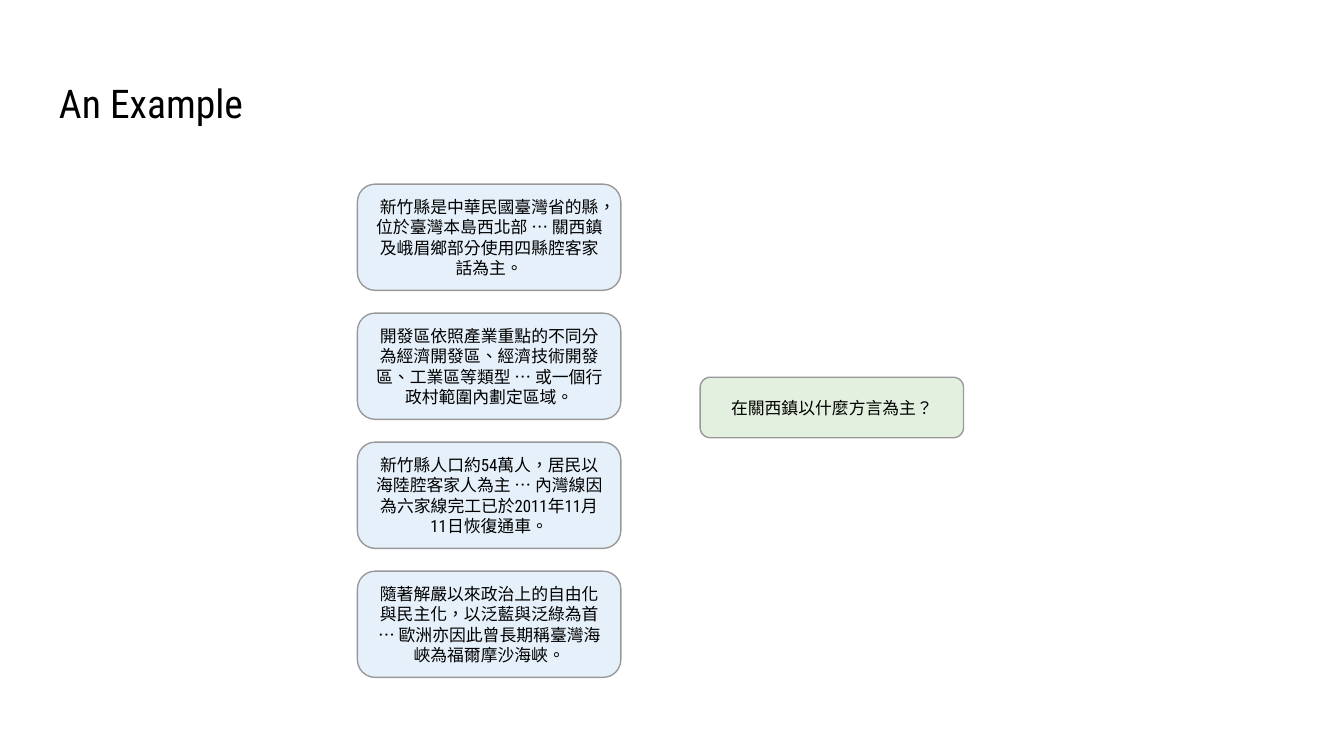
from dataclasses import dataclass

from pptx import Presentation
from pptx.dml.color import RGBColor
from pptx.enum.lang import MSO_LANGUAGE_ID
from pptx.enum.shapes import MSO_SHAPE
from pptx.enum.text import MSO_ANCHOR, PP_ALIGN
from pptx.util import Inches, Pt

ROUNDED = MSO_SHAPE.ROUNDED_RECTANGLE
TOP, MIDDLE = MSO_ANCHOR.TOP, MSO_ANCHOR.MIDDLE
LEFT, CENTER = PP_ALIGN.LEFT, PP_ALIGN.CENTER
ENGLISH = MSO_LANGUAGE_ID.ENGLISH_US
CHINESE = MSO_LANGUAGE_ID.TRADITIONAL_CHINESE

BLACK = RGBColor(0x00, 0x00, 0x00)
GRAY = RGBColor(0x99, 0x99, 0x99)
PALE_BLUE = RGBColor(0xE6, 0xF0, 0xFA)
PALE_GREEN = RGBColor(0xE4, 0xF0, 0xDF)
FONT = "Roboto Condensed"

# Grid, in inches: passages fill the first column, the question the second
PAGE_WIDTH = Inches(10)
PAGE_HEIGHT = PAGE_WIDTH * 9 // 16
GRID_LEFT, GRID_TOP = 2.66, 1.37
COLUMN_STEP, ROW_STEP = 2.55, 0.96
CARD_WIDTH = 1.96
PASSAGE_HEIGHT, QUESTION_HEIGHT = 0.79, 0.45
INSET = Inches(0.1)


@dataclass(frozen=True)
class Card:
    text: str
    column: int
    row: float
    height: float
    fill: RGBColor


PASSAGES = [
    "新竹縣是中華民國臺灣省的縣，位於臺灣本島西北部 … 關西鎮及峨眉鄉部分使用四縣腔客家話為主。",
    "開發區依照產業重點的不同分為經濟開發區、經濟技術開發區、工業區等類型 … 或一個行政村範圍內劃定區域。",
    "新竹縣人口約54萬人，居民以海陸腔客家人為主 … 內灣線因為六家線完工已於2011年11月11日恢復通車。",
    "隨著解嚴以來政治上的自由化與民主化，以泛藍與泛綠為首 … 歐洲亦因此曾長期稱臺灣海峽為福爾摩沙海峽。",
]
QUESTION = Card("在關西鎮以什麼方言為主？", 1, 1.32, QUESTION_HEIGHT, PALE_GREEN)


def write_text(box, text: str, size: float, align, anchor, language) -> None:
    frame = box.text_frame
    frame.word_wrap = True
    frame.vertical_anchor = anchor
    frame.margin_left = frame.margin_right = INSET
    frame.margin_top = frame.margin_bottom = INSET
    para = frame.paragraphs[0]
    para.alignment = align
    para.font.name = FONT
    para.font.size = Pt(size)
    para.font.color.rgb = BLACK
    # The language decides line breaking and punctuation glyphs
    span = para.add_run()
    span.text = text
    span.font.language_id = language


def draw_card(page, card: Card) -> None:
    left = GRID_LEFT + card.column * COLUMN_STEP
    # Cards are centred on their grid row
    middle = GRID_TOP + PASSAGE_HEIGHT / 2 + card.row * ROW_STEP
    box = page.shapes.add_shape(
        ROUNDED, Inches(left), Inches(middle - card.height / 2),
        Inches(CARD_WIDTH), Inches(card.height))
    box.shadow.inherit = False
    box.fill.solid()
    box.fill.fore_color.rgb = card.fill
    box.line.color.rgb = GRAY
    box.line.width = Pt(0.75)
    write_text(box, card.text, 9, CENTER, MIDDLE, CHINESE)


def main() -> None:
    deck = Presentation()
    deck.slide_width, deck.slide_height = PAGE_WIDTH, PAGE_HEIGHT
    page = deck.slides.add_slide(deck.slide_layouts[6])

    # Title
    title = page.shapes.add_textbox(
        Inches(0.34), Inches(0.49), Inches(9.32), Inches(0.63))
    write_text(title, "An Example", 21.2, LEFT, TOP, ENGLISH)

    # Passages, then the question beside them
    for row, passage in enumerate(PASSAGES):
        draw_card(page, Card(passage, 0, row, PASSAGE_HEIGHT, PALE_BLUE))
    draw_card(page, QUESTION)

    deck.save("out.pptx")


if __name__ == "__main__":
    main()
